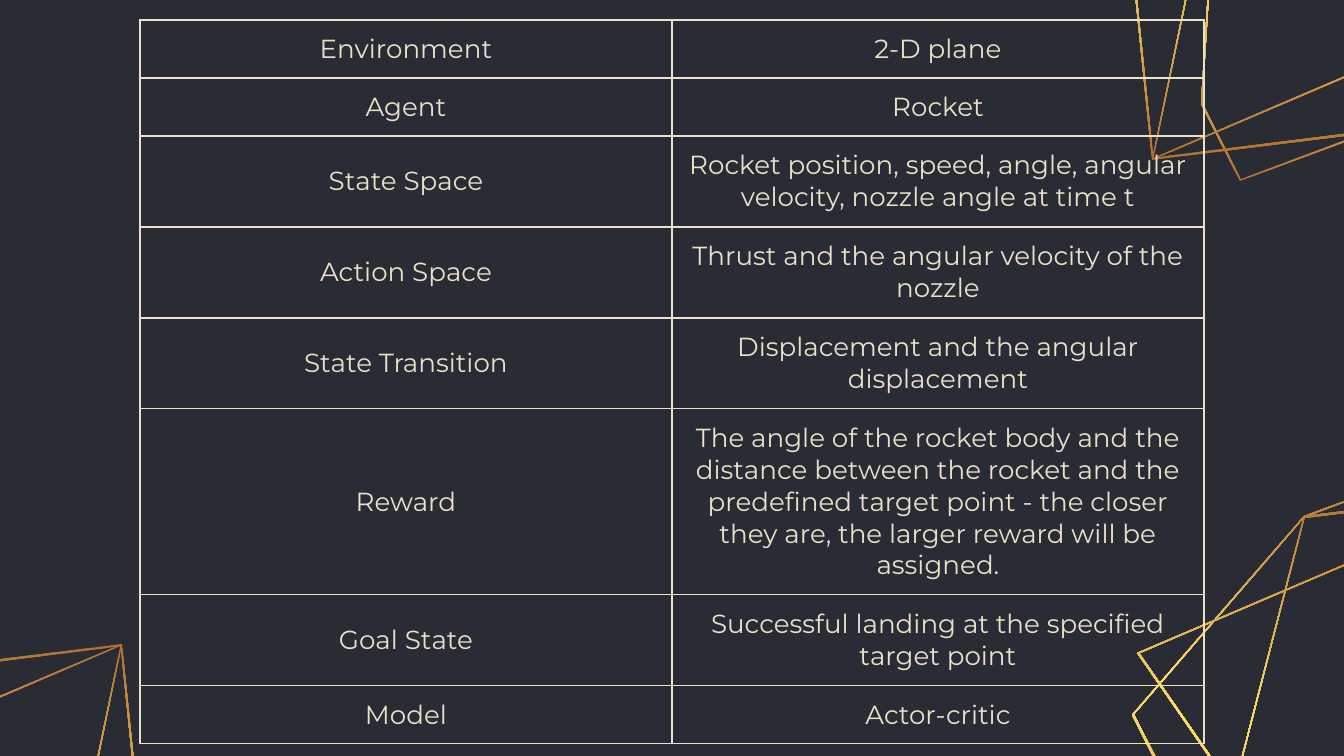
"""Build a slide with a table of reinforcement learning terms for a rocket landing."""
from copy import deepcopy

from lxml.etree import SubElement
from pptx import Presentation
from pptx.dml.color import RGBColor
from pptx.enum.text import MSO_ANCHOR, PP_ALIGN
from pptx.oxml.ns import qn
from pptx.util import Pt

PX = 9144000 / 1344
NIGHT = RGBColor(0x29, 0x2C, 0x35)
CREAM = RGBColor(0xE9, 0xE2, 0xC9)
BRONZE = RGBColor(0xAF, 0x71, 0x32)
GOLD = RGBColor(0xFF, 0xDD, 0x6B)
AMBER = RGBColor(0xDC, 0xAE, 0x52)
GRADIENT = [(0, BRONZE), (0.5, GOLD), (1, AMBER)]
INNER_SCALE = 0.99


def px(length):
    return round(length * PX)


def add_gold_outline(shapes, corners, angle):
    center_x = sum(x for x, y in corners) / len(corners)
    center_y = sum(y for x, y in corners) / len(corners)
    inner = [(center_x + (x - center_x) * INNER_SCALE,
              center_y + (y - center_y) * INNER_SCALE) for x, y in corners]
    outer_emu, inner_emu = ([(px(x), px(y)) for x, y in ring] for ring in (corners, inner))
    builder = shapes.build_freeform(*outer_emu[0])
    builder.add_line_segments(outer_emu[1:])
    builder.move_to(*inner_emu[0])
    builder.add_line_segments(inner_emu[1:])
    outline = builder.convert_to_shape()
    outline.shadow.inherit = False
    outline.line.fill.background()
    outline.fill.gradient()
    outline.fill.gradient_angle = angle
    stop_list = outline._element.spPr.find(".//" + qn("a:gsLst"))
    stop_list.append(deepcopy(stop_list[0]))
    for stop, (position, color) in zip(outline.fill.gradient_stops, GRADIENT):
        stop.position = position
        stop.color.rgb = color


prs = Presentation()
prs.slide_width = px(1344)
prs.slide_height = px(756)
slide = prs.slides.add_slide(prs.slide_layouts[6])
slide.background.fill.solid()
slide.background.fill.fore_color.rgb = NIGHT

hexagon = [(1212, 872), (1132, 715), (1304, 516), (1433, 468), (1472, 545), (1456, 802)]
pentagon = [(1329, 929), (1212, 872), (1304, 516), (1521, 489), (1456, 802)]
quadrangle = [(1329, 930), (1137, 653), (1521, 489), (1539, 665)]
crystal = [hexagon, pentagon, quadrangle]
placements = [
    (crystal, 1, 0, 0, 270),
    (crystal, -1, 2673, 649, 90),
    (crystal[1:], 1, -1399, 155, 270),
]
for facets, sign, shift_x, shift_y, angle in placements:
    for facet in facets:
        corners = [(sign * x + shift_x, sign * y + shift_y) for x, y in facet]
        add_gold_outline(slide.shapes, corners, angle)

terms = [
    ("Environment", "2-D plane", 58),
    ("Agent", "Rocket", 58),
    ("State Space", "Rocket position, speed, angle, angular velocity, nozzle angle at time t", 91),
    ("Action Space", "Thrust and the angular velocity of the nozzle", 91),
    ("State Transition", "Displacement and the angular displacement", 91),
    ("Reward", "The angle of the rocket body and the distance between the rocket and the "
     "predefined target point - the closer they are, the larger reward will be assigned.", 186),
    ("Goal State", "Successful landing at the specified target point", 91),
    ("Model", "Actor-critic", 58),
]
total_height = sum(height for *_, height in terms)
term_table = slide.shapes.add_table(
    len(terms), 2, px(140), px(20), px(1064), px(total_height)).table
term_table.first_row = False
term_table.horz_banding = False

for row, (*texts, height) in zip(term_table.rows, terms):
    row.height = px(height)
    for cell, text in zip(row.cells, texts):
        cell.margin_left = cell.margin_right = px(13)
        cell.margin_top = cell.margin_bottom = px(13)
        cell.vertical_anchor = MSO_ANCHOR.MIDDLE
        cell_properties = cell._tc.get_or_add_tcPr()
        for side in ("a:lnL", "a:lnR", "a:lnT", "a:lnB"):
            border = SubElement(cell_properties, qn(side), w=str(Pt(0.75)))
            border_fill = SubElement(border, qn("a:solidFill"))
            SubElement(border_fill, qn("a:srgbClr"), val=str(CREAM))
        cell.fill.background()
        cell.text_frame.text = text
        paragraph = cell.text_frame.paragraphs[0]
        paragraph.alignment = PP_ALIGN.CENTER
        font = paragraph.runs[0].font
        font.name = "Montserrat"
        font.size = Pt(14)
        font.color.rgb = CREAM

prs.save("out.pptx")
